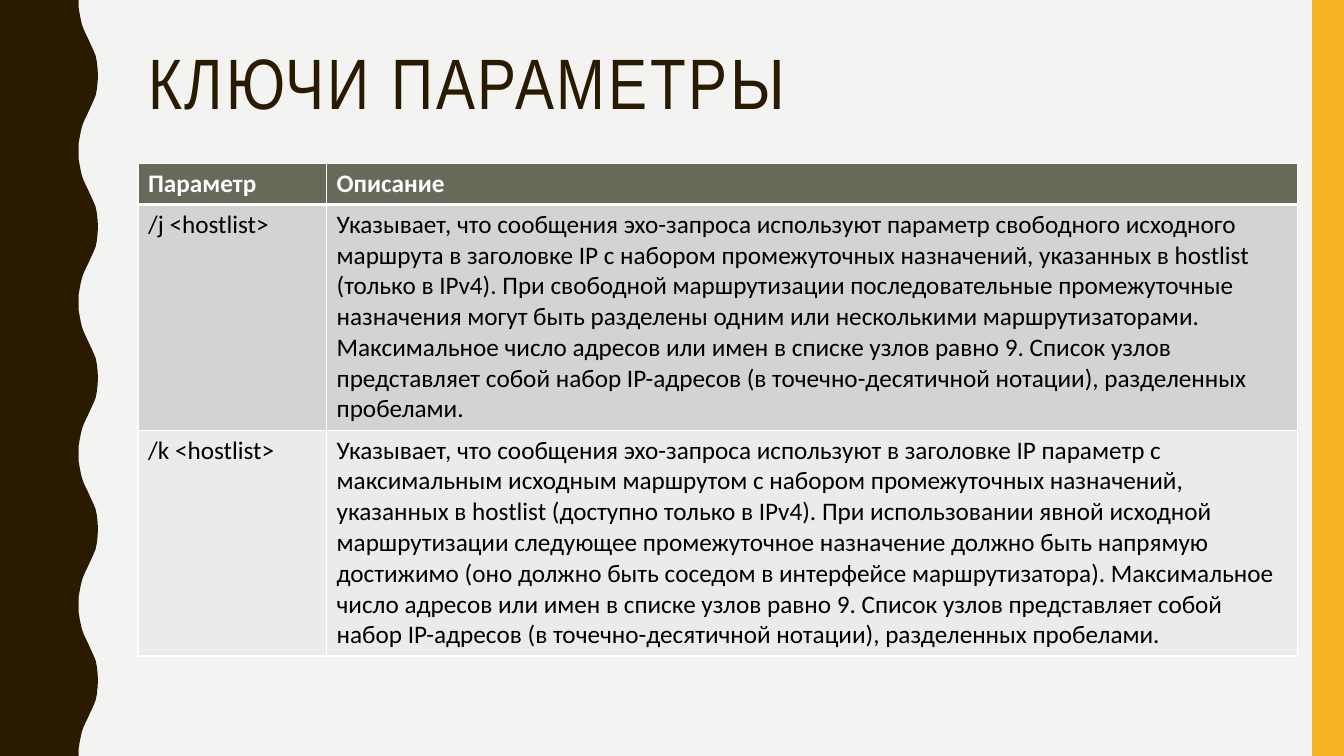
from pptx import Presentation
from pptx.dml.color import RGBColor as Rgb
from pptx.enum.shapes import MSO_SHAPE as Kind
from pptx.enum.text import MSO_ANCHOR as Anchor, PP_ALIGN as Align
from pptx.oxml import parse_xml
from pptx.oxml.ns import nsdecls
from pptx.util import Cm, Pt

WIDE, HIGH = 33.87, 19.05
DARK, GOLD, WHITE, BLACK = "2A1A00", "F8B323", "FFFFFF", "000000"
HALF = [
    (1.98, 0), (1.98, 0.18), (2.01, 0.35), (2.04, 0.51), (2.07, 0.63),
    (2.11, 0.74), (2.16, 0.85), (2.21, 0.95), (2.26, 1.06), (2.31, 1.17),
    (2.36, 1.28), (2.41, 1.4), (2.44, 1.55), (2.46, 1.73), (2.47, 1.9),
]
CREST = 1.905
WAVES = 5
ROWS = [
    ("Параметр", "Описание"),
    ("/j <hostlist>",
     "Указывает, что сообщения эхо-запроса используют параметр свободного исходного "
     "маршрута в заголовке IP с набором промежуточных назначений, указанных "
     "в hostlist (только в IPv4). При свободной маршрутизации последовательные "
     "промежуточные назначения могут быть разделены одним или несколькими "
     "маршрутизаторами. Максимальное число адресов или имен в списке узлов равно 9. "
     "Список узлов представляет собой набор IP-адресов (в точечно-десятичной нотации), "
     "разделенных пробелами."),
    ("/k <hostlist>",
     "Указывает, что сообщения эхо-запроса используют в заголовке IP параметр "
     "с максимальным исходным маршрутом с набором промежуточных назначений, "
     "указанных в hostlist (доступно только в IPv4). При использовании явной исходной "
     "маршрутизации следующее промежуточное назначение должно быть напрямую "
     "достижимо (оно должно быть соседом в интерфейсе маршрутизатора). Максимальное "
     "число адресов или имен в списке узлов равно 9. Список узлов представляет собой "
     "набор IP-адресов (в точечно-десятичной нотации), разделенных пробелами."),
]
FILLS = ["656A59", "D3D4D1", "EAEBEA"]
TALL = [1.04, 5.69, 5.69]
COLS = [4.75, 24.46]


def tint(code):
    return Rgb.from_string(code)


def apply(item, form):
    for name, value in form.items():
        setattr(item, name, value)


def paint(shape, code):
    shape.shadow.inherit = False
    shape.fill.solid()
    shape.fill.fore_color.rgb = tint(code)
    shape.line.fill.background()


def write(frame, text, code, form):
    para = frame.paragraphs[0]
    para.alignment = Align.LEFT
    run = para.add_run()
    run.text = text
    apply(run.font, form)
    run.font.color.rgb = tint(code)
    return para, run


def add_wave(slide):
    edge = []
    for turn in range(WAVES):
        base = 2 * CREST * turn
        edge += [(x, base + y) for x, y in HALF]
        edge += [(x, base + 2 * CREST - y) for x, y in reversed(HALF)]
    points = [(Cm(x), Cm(y)) for x, y in edge + [(0, HIGH)]]
    form = slide.shapes.build_freeform(0, 0)
    form.add_line_segments(points, close=True)
    paint(form.convert_to_shape(), DARK)


def add_band(slide):
    left = 33.07
    band = slide.shapes.add_shape(
        Kind.RECTANGLE, Cm(left), 0, Cm(WIDE - left), Cm(HIGH))
    paint(band, GOLD)


def add_title(slide, text):
    title = slide.shapes.title
    apply(title, {"left": Cm(3.48), "top": Cm(1.07),
                  "width": Cm(28.27), "height": Cm(4.14)})
    frame = title.text_frame
    apply(frame, {"word_wrap": True, "vertical_anchor": Anchor.TOP})
    para, run = write(frame, text, DARK, {"name": "Arial Narrow", "size": Pt(51)})
    para.line_spacing = 0.9
    run.font._element.set("spc", "200")


def edge_cell(cell, sides):
    props = cell._tc.get_or_add_tcPr()
    for side, width in sides.items():
        props.append(parse_xml(
            f'<a:ln{side} {nsdecls("a")} w="{Pt(width)}"><a:solidFill>'
            f'<a:srgbClr val="{WHITE}"/></a:solidFill></a:ln{side}>'))


def add_grid(slide):
    frame = slide.shapes.add_table(
        len(ROWS), len(COLS), Cm(3.48), Cm(4.11), Cm(sum(COLS)), Cm(sum(TALL)))
    table = frame.table
    for col, width in zip(table.columns, COLS):
        col.width = Cm(width)
    for i, (row, texts) in enumerate(zip(table.rows, ROWS)):
        row.height = Cm(TALL[i])
        head = i == 0
        sides = {"L": 1, "R": 1, "T": 3 if i == 1 else 1, "B": 3 if head else 1}
        for cell, text in zip(row.cells, texts):
            edge_cell(cell, sides)
            cell.fill.solid()
            cell.fill.fore_color.rgb = tint(FILLS[i])
            write(cell.text_frame, text, WHITE if head else BLACK,
                  {"name": "Calibri", "size": Pt(18), "bold": head})


def main():
    deck = Presentation()
    apply(deck, {"slide_width": Cm(WIDE), "slide_height": Cm(HIGH)})
    slide = deck.slides.add_slide(deck.slide_layouts[5])
    back = slide.background.fill
    back.solid()
    back.fore_color.rgb = tint("F3F3F2")
    add_wave(slide)
    add_band(slide)
    add_title(slide, "КЛЮЧИ ПАРАМЕТРЫ")
    add_grid(slide)
    deck.save("out.pptx")


if __name__ == "__main__":
    main()
